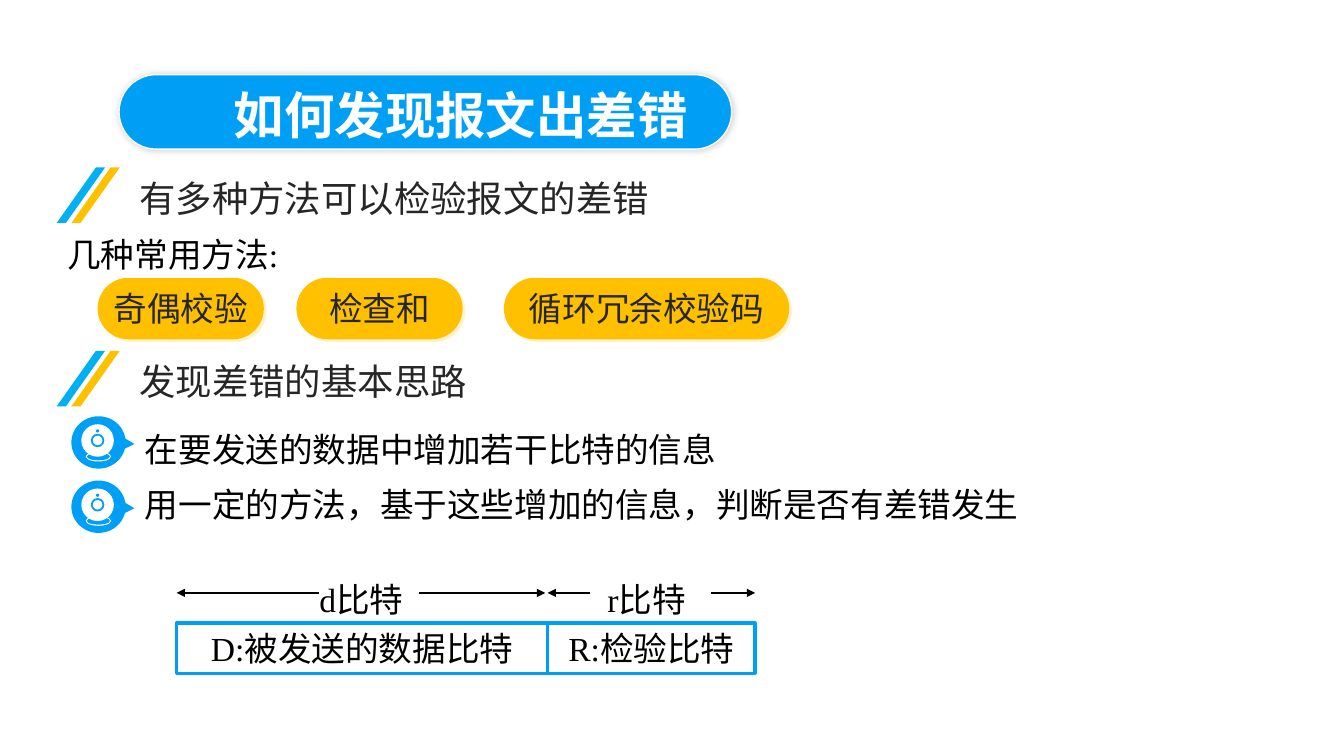
"""Build a slide on how errors in a message are detected."""
from lxml import etree
from pptx import Presentation, util as u
from pptx.dml.color import RGBColor
from pptx.enum import shapes, text
from pptx.oxml import ns

WHITE = RGBColor(0xFF, 0xFF, 0xFF)
BLACK = RGBColor(0, 0, 0)
INK = RGBColor(0x26, 0x26, 0x26)
BLUE = RGBColor(0x00, 0x9F, 0xF6)
SKY = RGBColor(0x00, 0xB0, 0xF0)
AMBER = RGBColor(0xFF, 0xC0, 0x00)
CREAM = RGBColor(0xFF, 0xF2, 0xCC)
SANS, SANS_BOLD, SERIF = "Noto Sans CJK SC", "Noto Sans CJK JP", "Times New Roman"
KIND = shapes.MSO_SHAPE
ALIGN = text.PP_ALIGN


class Canvas:
    def __init__(self, slide):
        self.slide = slide
        self.shapes = slide.shapes

    def place(self, item, left, top, width, height):
        item.left, item.top = u.Cm(left), u.Cm(top)
        item.width, item.height = u.Cm(width), u.Cm(height)

    def set_text(self, item, lines, size=24, face=SERIF, color=BLACK, bold=False,
                 align=ALIGN.LEFT, spacing=1.0, gap=0, wrap=True):
        frame = item.text_frame
        frame.word_wrap = wrap
        frame.auto_size = text.MSO_AUTO_SIZE.NONE
        frame.vertical_anchor = text.MSO_ANCHOR.MIDDLE
        for index, line in enumerate(lines):
            paragraph = frame.paragraphs[0] if index == 0 else frame.add_paragraph()
            properties = paragraph._p.get_or_add_pPr()
            properties.set("marL", "0")
            properties.set("indent", "0")
            etree.SubElement(properties, ns.qn("a:buNone"))
            paragraph.alignment = align
            paragraph.line_spacing = spacing
            paragraph.space_before = u.Pt(gap if index else 0)
            run = paragraph.add_run()
            run.text = line
            run.font.size, run.font.bold = u.Pt(size), bold
            run.font.color.rgb = color
            run.font.name = face
            east_asian = etree.SubElement(run._r.get_or_add_rPr(), ns.qn("a:ea"))
            east_asian.set("typeface", SANS if face == SERIF else face)

    def shape(self, kind, box, fill=None, outline=None, weight=1, adjust=()):
        item = self.shapes.add_shape(kind, *map(u.Cm, box))
        item.shadow.inherit = False
        for index, value in enumerate(adjust):
            item.adjustments[index] = value
        if fill is None:
            item.fill.background()
        else:
            item.fill.solid()
            item.fill.fore_color.rgb = fill
        if outline is None:
            item.line.fill.background()
        else:
            item.line.color.rgb = outline
            item.line.width = u.Pt(weight)
        return item

    def shadow(self, item, color, opacity, blur, distance, angle):
        effects = item._element.spPr.find(ns.qn("a:effectLst"))
        outer = etree.SubElement(
            effects, ns.qn("a:outerShdw"), blurRad=str(u.Pt(blur)),
            dist=str(u.Pt(distance)), dir=str(angle * 60000), rotWithShape="0")
        tint = etree.SubElement(outer, ns.qn("a:srgbClr"), val=str(color))
        etree.SubElement(tint, ns.qn("a:alpha"), val=str(opacity * 1000))

    def label(self, box, words, **style):
        self.set_text(self.shapes.add_textbox(*map(u.Cm, box)), [words], **style)

    def title(self, words):
        banner = self.shape(KIND.ROUNDED_RECTANGLE, (3, 1.88, 15.44, 1.88),
                            BLUE, WHITE, adjust=[0.5])
        self.shadow(banner, BLACK, 20, 5, 0, 0)
        heading = self.shapes.title
        self.place(heading, 5.64, 1.98, 12.8, 1.8)
        self.set_text(heading, [words], 36, SANS_BOLD, WHITE, bold=True)
        banner._element.addnext(heading._element)

    def section(self, top, words, width):
        for left, color in ((1.43, SKY), (1.8, AMBER)):
            self.shape(KIND.PARALLELOGRAM, (left, top, 1.22, 1.4), color, adjust=[0.81])
        self.label((3.26, top + 0.08, width, 1.37), words, size=26, face=SANS, color=INK)

    def method(self, left, width, words):
        pill = self.shape(KIND.ROUNDED_RECTANGLE, (left, 7, width, 1.55),
                          AMBER, adjust=[0.5])
        self.shadow(pill, CREAM, 100, 0, 2.8, 45)
        self.set_text(pill, [words], face=SANS, color=INK, align=ALIGN.CENTER, wrap=False)

    def camera(self, left, top):
        self.shape(KIND.OVAL_CALLOUT, (left, top, 1.37, 1.32), BLUE, adjust=[0.66, 0.03])
        for x, y, width, height, color in (
                (0.36, 0.89, 0.64, 0.25, WHITE), (0.39, 0.92, 0.58, 0.19, BLUE),
                (0.25, 0.2, 0.82, 0.82, WHITE), (0.49, 0.44, 0.34, 0.34, BLUE),
                (0.54, 0.49, 0.24, 0.24, WHITE), (0.62, 0.33, 0.08, 0.08, BLUE)):
            self.shape(KIND.OVAL, (left + x, top + y, width, height), color)

    def ideas(self, lines):
        top, pitch = 10.49, 1.62
        for index in range(len(lines)):
            self.camera(1.8, top + index * pitch)
        body = self.slide.placeholders[1]
        self.place(body, 3.4, top, 26.67, 2.95)
        self.set_text(body, lines, spacing=1.1, gap=7.8)

    def field(self, left, width, words):
        cell = self.shape(KIND.RECTANGLE, (left, 15.7, width, 1.27),
                          outline=BLUE, weight=2.25)
        self.set_text(cell, [words], align=ALIGN.CENTER)

    def arrow(self, start, end, top=14.94):
        line = self.shapes.add_connector(
            shapes.MSO_CONNECTOR.STRAIGHT, u.Cm(start), u.Cm(top), u.Cm(end), u.Cm(top))
        line.line.color.rgb = BLACK
        line.line.width = u.Pt(1.5)
        outline = line._element.spPr.find(ns.qn("a:ln"))
        etree.SubElement(outline, ns.qn("a:tailEnd"), type="triangle")
        etree.SubElement(line._element.spPr, ns.qn("a:effectLst"))


def main():
    deck = Presentation()
    deck.slide_width, deck.slide_height = u.Cm(33.87), u.Cm(19.05)
    canvas = Canvas(deck.slides.add_slide(deck.slide_layouts[1]))

    canvas.title("如何发现报文出差错")
    canvas.section(4.22, "有多种方法可以检验报文的差错", 14.55)
    canvas.label((1.45, 5.69, 8.2, 1.32), "几种常用方法:", spacing=1.1)
    for left, width, words in ((2.46, 4.19, "奇偶校验"), (7.47, 4.19, "检查和"),
                               (12.7, 7.19, "循环冗余校验码")):
        canvas.method(left, width, words)

    canvas.section(8.84, "发现差错的基本思路", 9.42)
    canvas.ideas(["在要发送的数据中增加若干比特的信息",
                  "用一定的方法，基于这些增加的信息，判断是否有差错发生"])

    canvas.field(4.45, 9.35, "D:被发送的数据比特")
    canvas.field(13.8, 5.23, "R:检验比特")
    for left, words in ((7.8, "d比特"), (15.06, "r比特")):
        canvas.label((left, 14.46, 3.02, 1.27), words)
    for start, end in ((8.03, 4.45), (17.93, 19.03), (14.88, 13.8), (10.57, 13.74)):
        canvas.arrow(start, end)

    deck.save("out.pptx")


if __name__ == "__main__":
    main()
